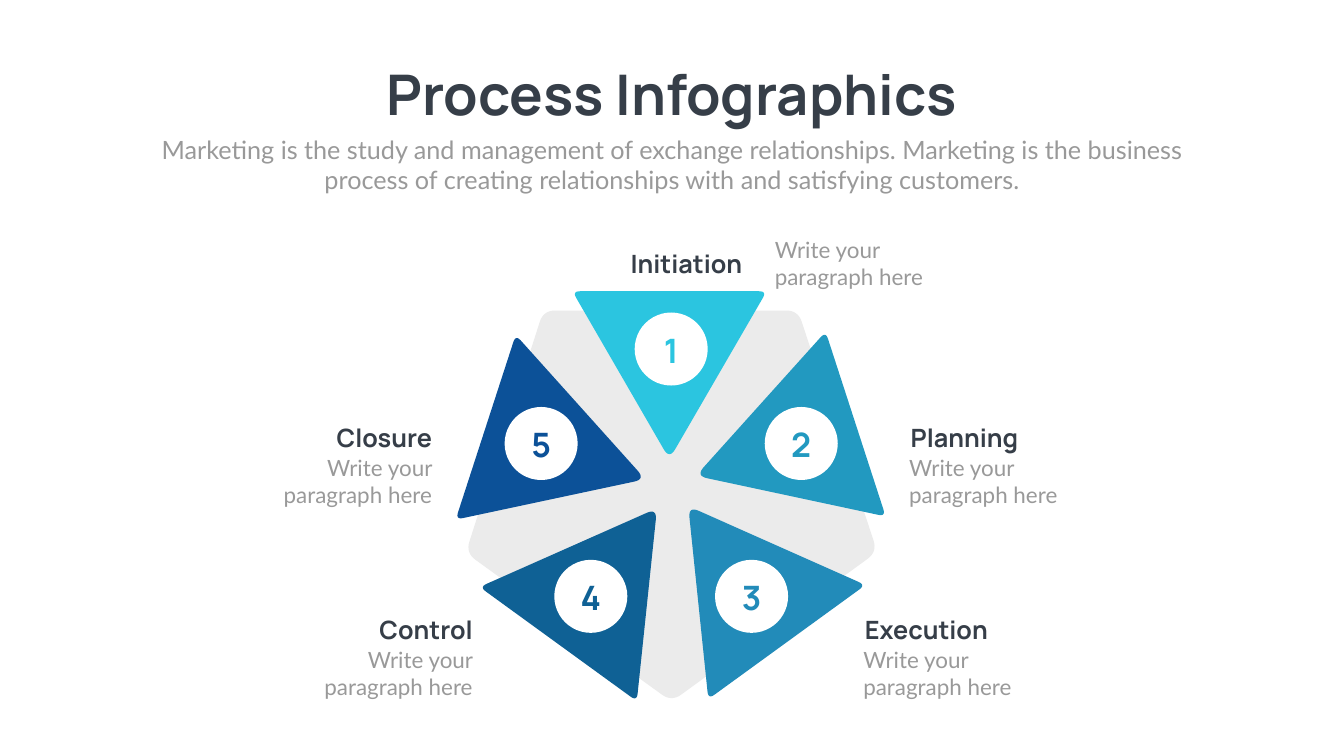
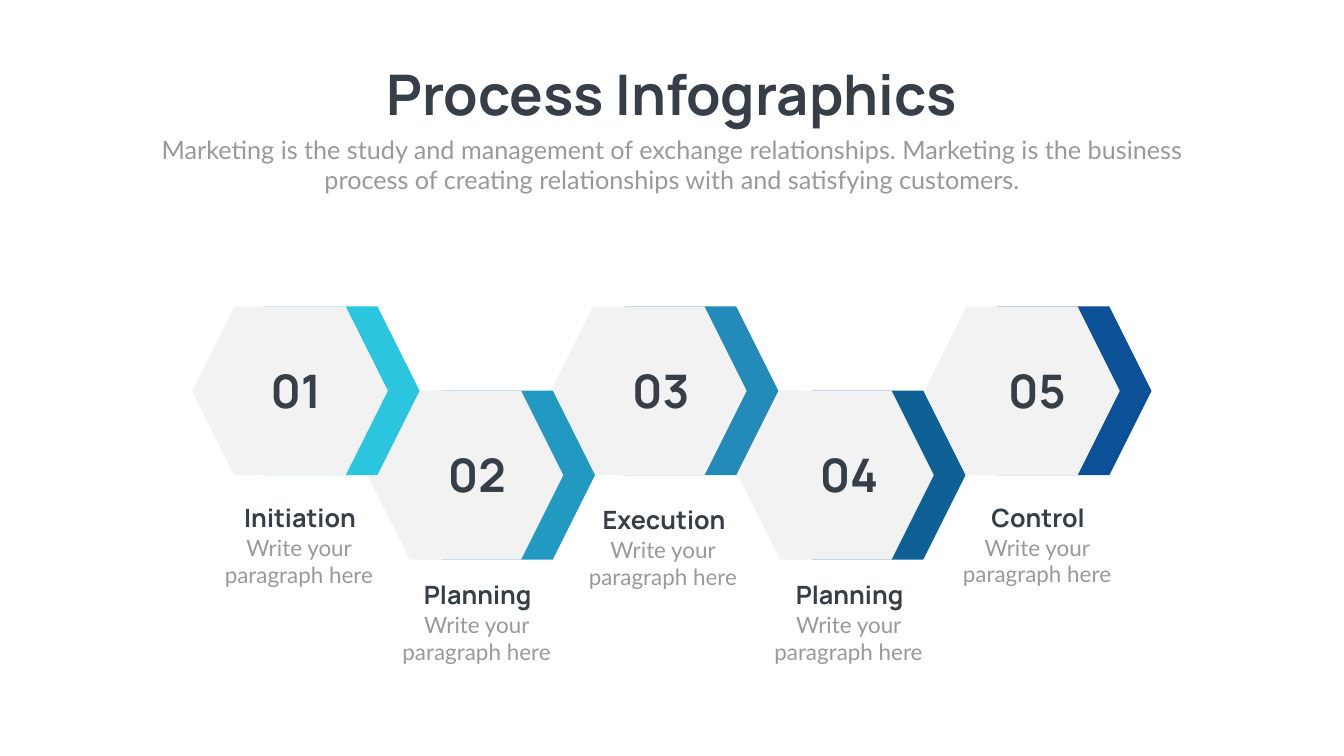
from dataclasses import dataclass
from math import cos, radians, sin
from typing import NamedTuple

from pptx import Presentation
from pptx import util as u
from pptx.dml import color
from pptx.enum import shapes, text
from pptx.shapes.autoshape import Shape
from pptx.slide import Slide


# Theme
@dataclass(frozen=True)
class Theme:
    heading_font: str = "Manrope"
    body_font: str = "Lato"
    dark: str = "363E48"
    grey: str = "999999"
    wheel: str = "EBEBEB"
    tile: str = "F2F2F2"
    white: str = "FFFFFF"
    accents: tuple[str, ...] = ("2BC5E0", "2299C0", "228BB9", "0F6195", "0C5198")
    title_size: int = 80
    subtitle_size: int = 36
    heading_size: int = 36
    body_size: int = 32
    badge_size: int = 48
    number_size: int = 66


THEME = Theme()
TITLE = "Process Infographics"
SUBTITLE = (
    "Marketing is the study and management of exchange relationships. "
    "Marketing is the business process of creating relationships with "
    "and satisfying customers."
)
BODY = "Write your paragraph here"
LEFT, CENTER, RIGHT = (
    text.PP_ALIGN.LEFT, text.PP_ALIGN.CENTER, text.PP_ALIGN.RIGHT
)


# All lengths below are in centimetres
class Point(NamedTuple):
    x: float
    y: float

    def turned(self, degrees: float) -> "Point":
        c, s = cos(radians(degrees)), sin(radians(degrees))
        return Point(self.x * c - self.y * s, self.x * s + self.y * c)

    def moved(self, x: float, y: float) -> "Point":
        return Point(self.x + x, self.y + y)

    def toward(self, other: "Point", share: float) -> "Point":
        return Point(self.x + (other.x - self.x) * share,
                     self.y + (other.y - self.y) * share)


class Box(NamedTuple):
    left: float
    top: float
    width: float
    height: float

    @classmethod
    def around(cls, center: Point, width: float, height: float) -> "Box":
        return cls(center.x - width / 2, center.y - height / 2, width, height)

    def lengths(self) -> list[u.Cm]:
        return [u.Cm(value) for value in self]


@dataclass(frozen=True)
class TextStyle:
    font: str
    size: int
    color: str
    bold: bool = False


TITLE_STYLE = TextStyle(THEME.heading_font, THEME.title_size, THEME.dark, True)
SUBTITLE_STYLE = TextStyle(THEME.body_font, THEME.subtitle_size, THEME.grey)
HEADING_STYLE = TextStyle(THEME.heading_font, THEME.heading_size, THEME.dark, True)
BODY_STYLE = TextStyle(THEME.body_font, THEME.body_size, THEME.grey)
NUMBER_STYLE = TextStyle(THEME.heading_font, THEME.number_size, THEME.dark, True)


# Drawing helpers
def add_text(slide: Slide, box: Box, words: str, style: TextStyle,
             align: text.PP_ALIGN = CENTER, wrap: bool = True) -> None:
    text_frame = slide.shapes.add_textbox(*box.lengths()).text_frame
    text_frame.text = words
    text_frame.word_wrap = wrap
    text_frame.auto_size = text.MSO_AUTO_SIZE.SHAPE_TO_FIT_TEXT
    paragraph = text_frame.paragraphs[0]
    paragraph.alignment = align
    font = paragraph.runs[0].font
    font.name, font.size, font.bold = style.font, u.Pt(style.size), style.bold
    font.color.rgb = color.RGBColor.from_string(style.color)


def paint(shape: Shape, fill: str, rotation: float = 0) -> None:
    shape.shadow.inherit = False
    shape.fill.solid()
    shape.fill.fore_color.rgb = color.RGBColor.from_string(fill)
    shape.line.fill.background()
    shape.rotation = rotation


def add_preset(slide: Slide, kind: shapes.MSO_SHAPE, box: Box, fill: str,
               rotation: float = 0) -> None:
    paint(slide.shapes.add_shape(kind, *box.lengths()), fill, rotation)


class Corner(NamedTuple):
    at: Point
    cut: float


def rounded_outline(corners: list[Corner], steps: int = 8) -> list[Point]:
    """Replace each corner by a quadratic curve between its two cut points."""
    outline = []
    for index, (tip, cut) in enumerate(corners):
        before = corners[index - 1].at
        after = corners[(index + 1) % len(corners)].at
        start, end = (
            tip.toward(other, cut / ((tip.x - other.x) ** 2
                                     + (tip.y - other.y) ** 2) ** 0.5)
            for other in (before, after)
        )
        for step in range(steps + 1):
            share = step / steps
            outline.append(start.toward(tip, share).toward(
                tip.toward(end, share), share))
    return outline


def add_wheel_part(slide: Slide, corners: list[Corner], fill: str,
                   turn: float = 0) -> None:
    """Draw a rounded outline, given around the hub, turned about the hub."""
    rotation = WHEEL_TILT + turn
    points = [point.turned(-WHEEL_TILT) for point in rounded_outline(corners)]
    xs, ys = zip(*points)
    middle = Point((min(xs) + max(xs)) / 2, (min(ys) + max(ys)) / 2)
    center = middle.turned(rotation).moved(*HUB)
    placed = [point.moved(center.x - middle.x, center.y - middle.y)
              for point in points]
    first, *rest = [(u.Cm(point.x), u.Cm(point.y)) for point in placed]
    builder = slide.shapes.build_freeform(*first, scale=1.0)
    builder.add_line_segments(rest, close=True)
    paint(builder.convert_to_shape(), fill, rotation)


def add_slide_with_title() -> Slide:
    slide = presentation.slides.add_slide(presentation.slide_layouts[6])
    add_text(slide, Box(18.21, 2.9, 31.29, 3.68), TITLE, TITLE_STYLE, wrap=False)
    add_text(slide, Box(7.42, 6.63, 52.88, 3.33), SUBTITLE, SUBTITLE_STYLE)
    return slide


# Wheel geometry, with corners measured from the hub
HUB = Point(33.82, 24.48)
WHEEL_TILT = 35.9
BADGE_RADIUS = 6.89
BADGE_SIZE = 3.68
PENTAGON = [
    Corner(Point(x, y), 0.6)
    for x, y in ((-6.44, -8.83), (6.39, -8.83), (10.38, 3.33),
                 (0.02, 10.88), (-10.35, 3.38))
]
TRIANGLE = [
    Corner(Point(-4.98, -9.8), 0.38),
    Corner(Point(4.81, -9.8), 0.38),
    Corner(Point(-0.09, -1.34), 0.58),
]
LABEL_GAP = 1.6


@dataclass(frozen=True)
class WheelLabel:
    heading: str
    at: Point
    align: text.PP_ALIGN
    body_at: Point | None = None


WHEEL_LABELS = (
    WheelLabel("Initiation", Point(31.52, 12.4), LEFT, Point(38.79, 11.79)),
    WheelLabel("Planning", Point(45.64, 21.18), LEFT),
    WheelLabel("Execution", Point(43.33, 30.84), LEFT),
    WheelLabel("Control", Point(15.54, 30.84), RIGHT),
    WheelLabel("Closure", Point(13.49, 21.18), RIGHT),
)


def draw_wheel_slide() -> None:
    slide = add_slide_with_title()
    for label in WHEEL_LABELS:
        body_at = label.body_at or label.at.moved(-0.08, LABEL_GAP)
        add_text(slide, Box(*label.at, 8.53, 1.8), label.heading,
                 HEADING_STYLE, label.align)
        add_text(slide, Box(*body_at, 8.61, 3), BODY, BODY_STYLE, label.align)

    # Pentagon, then one triangle and numbered badge per step
    add_wheel_part(slide, PENTAGON, THEME.wheel)
    for index, accent in enumerate(THEME.accents):
        turn = index * 360 / len(THEME.accents)
        add_wheel_part(slide, TRIANGLE, accent, turn)
        center = Point(0, -BADGE_RADIUS).turned(turn).moved(*HUB)
        add_preset(slide, shapes.MSO_SHAPE.OVAL,
                   Box.around(center, BADGE_SIZE, BADGE_SIZE), THEME.white)
        add_text(slide, Box.around(center.moved(0, 0.25), 5.61, 2.72),
                 str(index + 1),
                 TextStyle(THEME.heading_font, THEME.badge_size, accent, True))


# Hexagon chain
HEXAGON_WIDTH, HEXAGON_HEIGHT = 9.86, 8.51
HEXAGON_TOPS = (15.44, 19.69)
ACCENT_SHIFT = 1.6


@dataclass(frozen=True)
class ChainStep:
    heading: str
    left: float
    number_left: float
    heading_at: Point


CHAIN_STEPS = (
    ChainStep("Initiation", 9.68, 12.52, Point(11.73, 25.2)),
    ChainStep("Planning", 18.52, 21.64, Point(20.68, 29.08)),
    ChainStep("Execution", 27.76, 30.91, Point(30.07, 25.3)),
    ChainStep("Planning", 37.19, 40.39, Point(39.42, 29.08)),
    ChainStep("Control", 46.56, 49.86, Point(48.92, 25.17)),
)


def draw_chain_slide() -> None:
    slide = add_slide_with_title()

    # Hexagons from last to first, so that earlier steps lie on top
    for index, step in reversed(list(enumerate(CHAIN_STEPS))):
        for shift, fill in ((ACCENT_SHIFT, THEME.accents[index]), (0, THEME.tile)):
            box = Box(step.left + shift, HEXAGON_TOPS[index % 2],
                      HEXAGON_WIDTH, HEXAGON_HEIGHT)
            add_preset(slide, shapes.MSO_SHAPE.HEXAGON, box, fill, 180)

    # Numbers and labels
    for index, step in enumerate(CHAIN_STEPS):
        add_text(slide, Box(step.number_left, HEXAGON_TOPS[index % 2] + 2.7,
                            4.78, 3.07), f"{index + 1:02}", NUMBER_STYLE)
        add_text(slide, Box(*step.heading_at, 6.78, 1.8), step.heading,
                 HEADING_STYLE)
        add_text(slide, Box(*step.heading_at.moved(-1.49, LABEL_GAP), 9.65, 3),
                 BODY, BODY_STYLE)


# Build the presentation
presentation = Presentation()
presentation.slide_width, presentation.slide_height = u.Cm(67.72), u.Cm(38.1)
draw_wheel_slide()
draw_chain_slide()
presentation.save("out.pptx")
